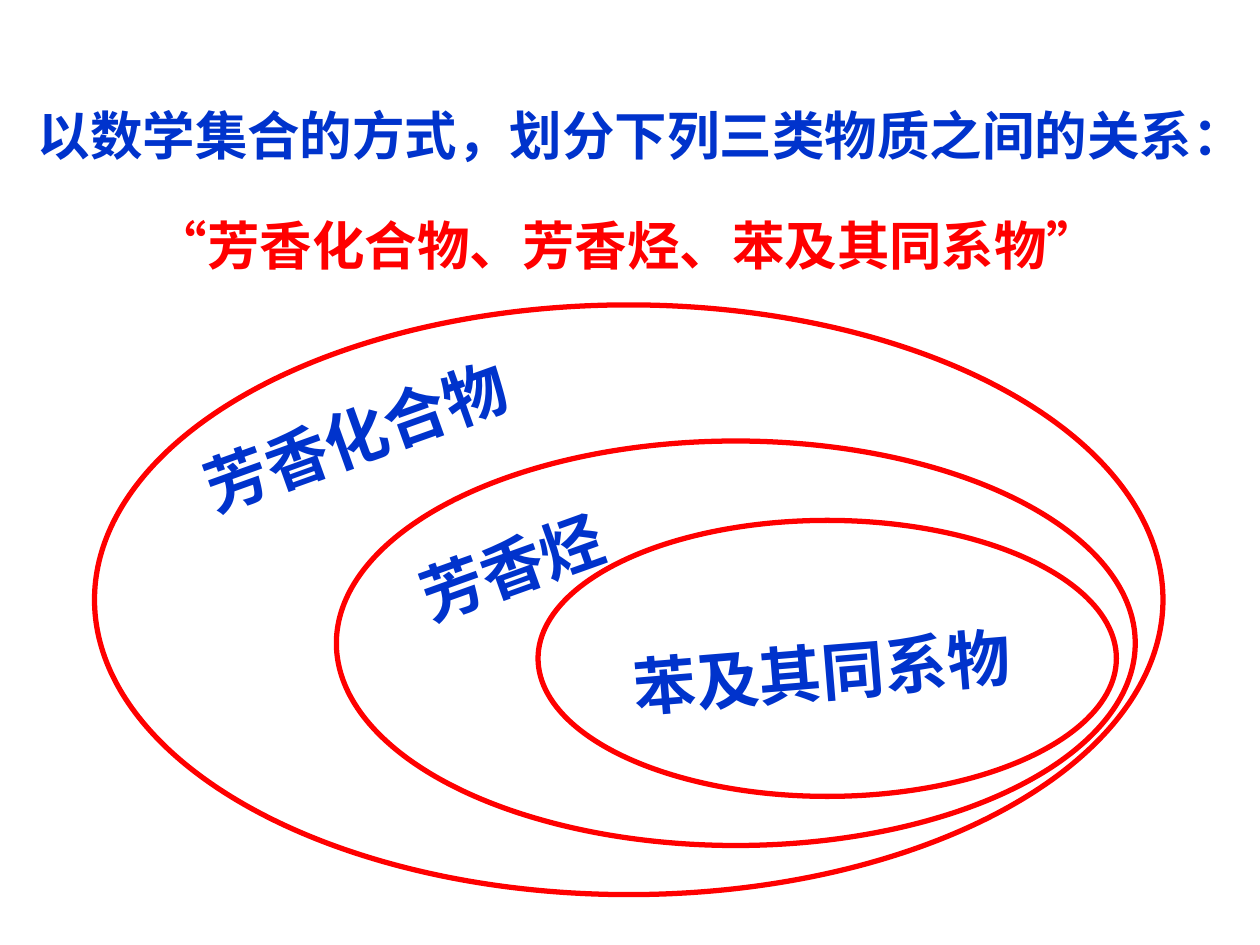
from pptx import Presentation
from pptx.dml.color import RGBColor
from pptx.enum.lang import MSO_LANGUAGE_ID as Language
from pptx.enum.shapes import MSO_SHAPE as Shape
from pptx.enum.text import MSO_AUTO_SIZE as AutoSize
from pptx.oxml.ns import qn
from pptx.util import Inches, Pt
from lxml.etree import SubElement

BLUE = RGBColor(0x00, 0x33, 0xCC)
RED = RGBColor(0xFF, 0x00, 0x00)
FONT = "Noto Sans CJK SC"

presentation = Presentation()
presentation.slide_width = Inches(10)
presentation.slide_height = Inches(7.5)
slide = presentation.slides.add_slide(presentation.slide_layouts[6])


def place(left, top, width, height):
    """Turn percentages of the slide's width and height into lengths."""
    across, down = presentation.slide_width / 100, presentation.slide_height / 100
    return [int(left * across), int(top * down), int(width * across), int(height * down)]


def add_text(text, box, size=36, color=BLUE, rotation=0):
    shape = slide.shapes.add_textbox(*place(*box))
    shape.rotation = rotation
    frame = shape.text_frame
    frame.word_wrap = True
    frame.auto_size = AutoSize.SHAPE_TO_FIT_TEXT
    paragraph = frame.paragraphs[0]
    paragraph.line_spacing = 1.1
    run = paragraph.add_run()
    run.text = text
    font = run.font
    font.name, font.size, font.bold = FONT, Pt(size), True
    font.color.rgb = color
    font.language_id = Language.SIMPLIFIED_CHINESE
    # Chinese characters take the East Asian typeface
    SubElement(run._r.get_or_add_rPr(), qn("a:ea")).set("typeface", FONT)


# Question and the three classes of substances
add_text("以数学集合的方式，划分下列三类物质之间的关系：", (2, 9.6, 99.6, 8.67), size=30)
add_text("“芳香化合物、芳香烃、苯及其同系物”", (11.3, 21.2, 78.7, 8.67), size=30, color=RED)

# Nested sets, from the widest to the narrowest
for box in [(7.5, 32.27, 84.8, 62.4), (26.7, 46.67, 63.4, 42.8), (42.7, 55.07, 45.9, 29.2)]:
    ellipse = slide.shapes.add_shape(Shape.OVAL, *place(*box))
    ellipse.shadow.inherit = False
    ellipse.fill.background()
    ellipse.line.color.rgb = RED
    ellipse.line.width = Pt(3)

# Tilted name of each set
for name, box, tilt in [
    ("芳香化合物", (14.4, 38.8, 35.3, 10.13), 340.3),
    ("芳香烃", (31.9, 53.47, 21.6, 10.13), 340.3),
    ("苯及其同系物", (49.2, 65.47, 33.4, 10.13), 355.3),
]:
    add_text(name, box, rotation=tilt)

presentation.save("out.pptx")
